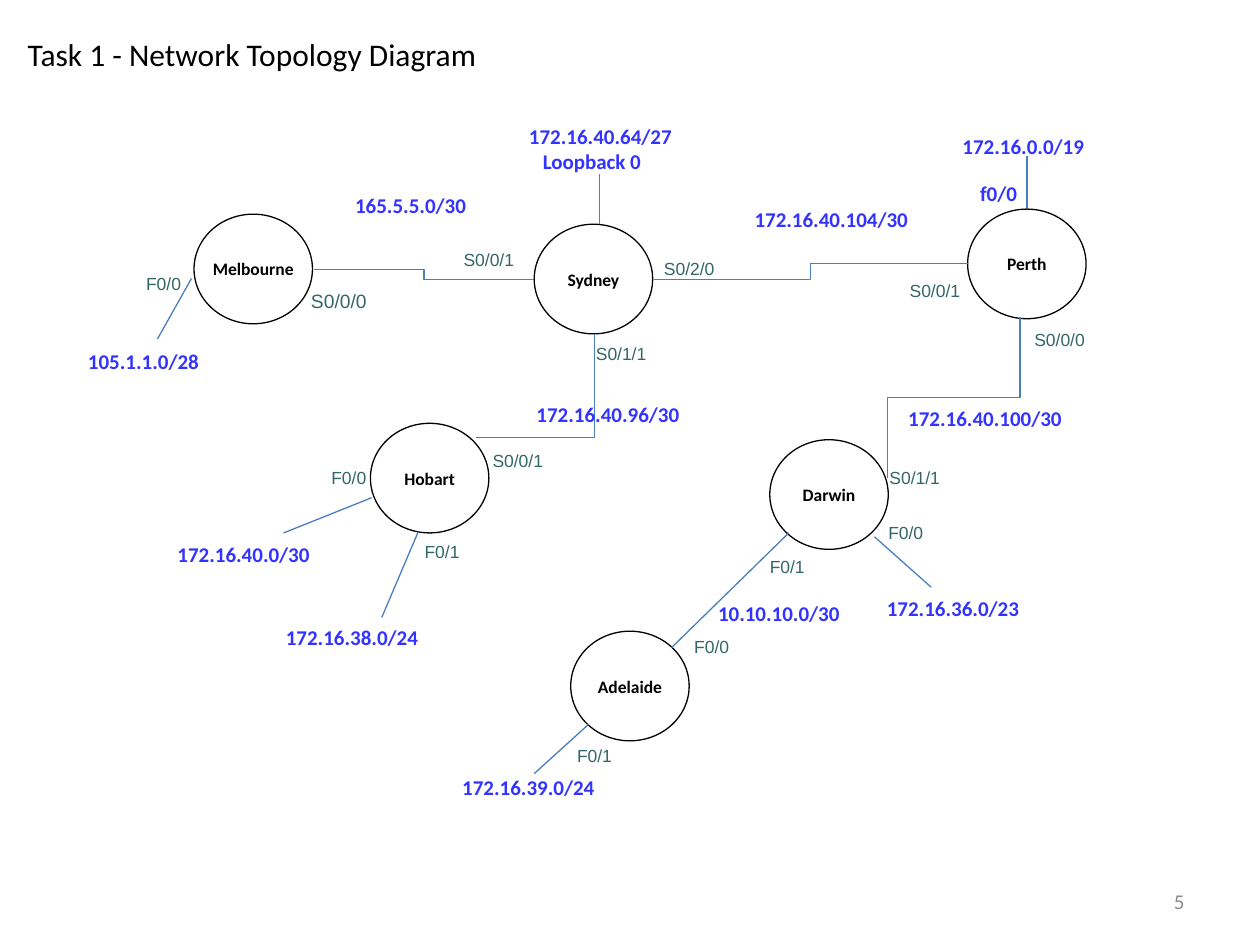
from lxml.etree import SubElement
from pptx import Presentation
from pptx.dml.color import RGBColor
from pptx.enum.shapes import MSO_CONNECTOR, MSO_SHAPE
from pptx.enum.text import MSO_ANCHOR, MSO_AUTO_SIZE, PP_ALIGN
from pptx.oxml.ns import qn
from pptx.util import Inches, Pt

COLORS = {
    "black": "000000",
    "white": "FFFFFF",
    "network": "3333FF",
    "port": "336666",
    "link": "4B7EBC",
    "number": "8C8C8C",
}

ROUTER_WIDTH, ROUTER_HEIGHT = 0.94, 0.87
ROUTERS = [  # name, left, top
    ("Adelaide", 4.53, 5.01),
    ("Perth", 7.68, 1.66),
    ("Hobart", 2.94, 3.36),
    ("Sydney", 4.24, 1.78),
    ("Darwin", 6.11, 3.49),
    ("Melbourne", 1.54, 1.7),
]

STRAIGHT_LINKS = [  # begin x, begin y, end x, end y
    (4.76, 1.78, 4.76, 1.38),
    (8.15, 1.65, 8.15, 1.24),
    (5.33, 5.14, 6.26, 4.23),
    (7.39, 4.66, 6.94, 4.26),
    (4.67, 5.75, 4.24, 6.14),
    (3.03, 4.9, 3.32, 4.22),
    (2.25, 4.23, 2.95, 3.95),
    (1.25, 2.69, 1.52, 2.21),
]

NETWORKS = [  # text, left, top, width
    ("172.16.0.0/19", 7.54, 1.01, 1.18),
    ("f0/0", 7.68, 1.38, 0.5),
    ("165.5.5.0/30", 2.72, 1.48, 1.1),
    ("105.1.1.0/28", 0.6, 2.72, 1.17),
    ("172.16.40.104/30", 5.89, 1.59, 1.44),
    ("172.16.40.100/30", 7.11, 3.17, 1.44),
    ("172.16.40.96/30", 4.16, 3.14, 1.36),
    ("172.16.40.0/30", 1.31, 4.25, 1.27),
    ("172.16.38.0/24", 2.17, 4.91, 1.27),
    ("10.10.10.0/30", 5.6, 4.72, 1.18),
    ("172.16.36.0/23", 6.94, 4.68, 1.31),
    ("172.16.39.0/24", 3.57, 6.1, 1.27),
]

PORTS = [  # text, left, top
    ("S0/0/1", 3.4, 1.91),
    ("S0/2/0", 4.99, 1.98),
    ("S0/0/1", 6.94, 2.15),
    ("S0/1/1", 4.45, 2.65),
    ("S0/0/0", 7.93, 2.54),
    ("S0/1/1", 6.78, 3.64),
    ("S0/0/1", 3.63, 3.5),
    ("F0/1", 4.3, 5.84),
    ("F0/0", 5.23, 4.98),
    ("F0/1", 3.09, 4.22),
    ("F0/0", 2.35, 3.64),
    ("F0/1", 5.83, 4.34),
    ("F0/0", 6.77, 4.07),
    ("F0/0", 0.88, 2.1),
]


def color(name):
    return RGBColor.from_string(COLORS[name])


def format_text(frame, size, color_name, font="Calibri", bold=False, align=PP_ALIGN.LEFT):
    for paragraph in frame.paragraphs:
        paragraph.alignment = align
        paragraph.font.name = font
        paragraph.font.size = Pt(size)
        paragraph.font.bold = bold
        paragraph.font.color.rgb = color(color_name)


def add_text(slide, text, left, top, width, height, wrap=True):
    box = slide.shapes.add_textbox(Inches(left), Inches(top), Inches(width), Inches(height))
    frame = box.text_frame
    frame.text = text
    frame.word_wrap = wrap
    return frame


def add_title(slide, text):
    title = slide.shapes.title
    title.left, title.top = Inches(0.12), Inches(0.23)
    title.width, title.height = Inches(9.69), Inches(0.4)
    frame = title.text_frame
    frame.text = text
    frame.vertical_anchor = MSO_ANCHOR.TOP
    frame.auto_size = MSO_AUTO_SIZE.SHAPE_TO_FIT_TEXT
    format_text(frame, 18, "black")


def add_router(slide, name, left, top):
    router = slide.shapes.add_shape(
        MSO_SHAPE.OVAL, Inches(left), Inches(top), Inches(ROUTER_WIDTH), Inches(ROUTER_HEIGHT)
    )
    router.shadow.inherit = False
    router.fill.solid()
    router.fill.fore_color.rgb = color("white")
    router.line.color.rgb = color("black")
    router.line.width = Pt(0.75)
    frame = router.text_frame
    frame.text = name
    frame.word_wrap = False
    frame.vertical_anchor = MSO_ANCHOR.MIDDLE
    format_text(frame, 10, "black", bold=True, align=PP_ALIGN.CENTER)


def add_link(slide, begin_x, begin_y, end_x, end_y, kind=MSO_CONNECTOR.STRAIGHT):
    link = slide.shapes.add_connector(
        kind, Inches(begin_x), Inches(begin_y), Inches(end_x), Inches(end_y)
    )
    link.line.color.rgb = color("link")
    link.line.width = Pt(0.75)
    properties = link._element.spPr
    SubElement(properties, qn("a:effectLst"))
    return properties


def add_network(slide, text, left, top, width, height=0.3):
    frame = add_text(slide, text, left, top, width, height, wrap=False)
    frame.auto_size = MSO_AUTO_SIZE.SHAPE_TO_FIT_TEXT
    format_text(frame, 12, "network", bold=True)
    return frame


def add_port(slide, text, left, top):
    frame = add_text(slide, text, left, top, 0.9, 0.3)
    frame.margin_left, frame.margin_top = Inches(0.28), Inches(0.07)
    format_text(frame, 10, "port", font="Arial")


def main():
    presentation = Presentation()
    presentation.slide_width, presentation.slide_height = Inches(10), Inches(7.5)
    slide = presentation.slides.add_slide(presentation.slide_layouts[5])
    add_title(slide, "Task 1 - Network Topology Diagram")

    for router in ROUTERS:
        add_router(slide, *router)

    # Links from routers to networks, and between Adelaide and Darwin
    for link in STRAIGHT_LINKS:
        add_link(slide, *link)

    # Bent links: Melbourne-Sydney, Sydney-Perth, Hobart-Sydney, Darwin-Perth
    add_link(slide, 2.49, 2.14, 4.24, 2.22, MSO_CONNECTOR.ELBOW)
    add_link(slide, 5.19, 2.22, 7.68, 2.09, MSO_CONNECTOR.ELBOW)
    single_bend = add_link(slide, 3.78, 3.47, 4.72, 2.65, MSO_CONNECTOR.ELBOW)
    single_bend.find(qn("a:prstGeom")).set("prst", "bentConnector2")
    upright = add_link(slide, 8.21, 3.68, 6.93, 2.63, MSO_CONNECTOR.ELBOW)
    upright.find(qn("a:xfrm")).set("rot", "5400000")  # quarter turn

    # Network addresses
    for network in NETWORKS:
        add_network(slide, *network)
    loopback = add_network(slide, "172.16.40.64/27\nLoopback 0", 4.1, 0.93, 1.36, 0.5)
    loopback.paragraphs[1]._p.get_or_add_pPr().set("marL", str(Inches(0.11)))

    # Port names
    for port in PORTS:
        add_port(slide, *port)
    melbourne_port = add_text(slide, "S0/0/0", 2.37, 2.25, 1.13, 0.29)
    format_text(melbourne_port, 11, "port", font="Arial")

    # Slide number
    number = add_text(slide, "5", 7.17, 6.95, 2.33, 0.4)
    number.vertical_anchor = MSO_ANCHOR.MIDDLE
    format_text(number, 12, "number", align=PP_ALIGN.RIGHT)

    presentation.save("out.pptx")


if __name__ == "__main__":
    main()
